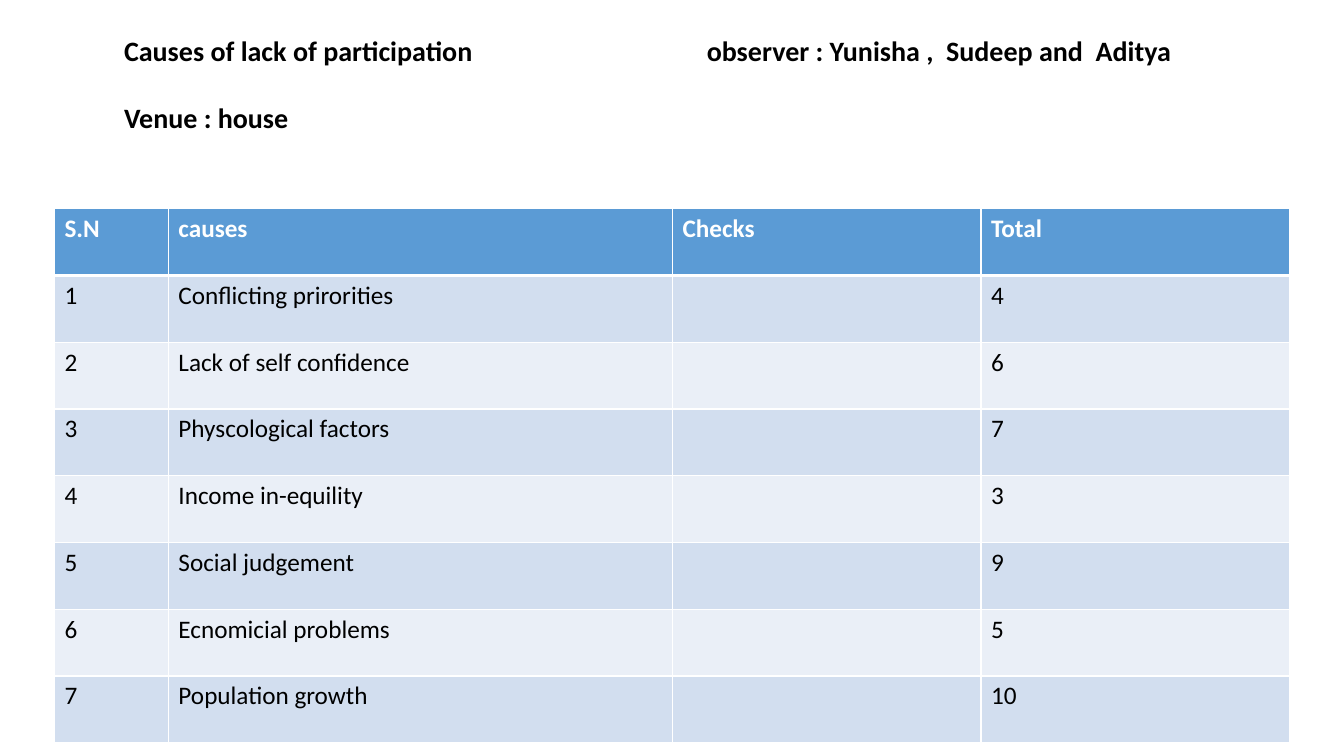
from lxml.etree import SubElement
from pptx import Presentation
from pptx.dml.color import RGBColor
from pptx.enum.text import MSO_ANCHOR, PP_ALIGN
from pptx.oxml.ns import qn
from pptx.util import Inches, Pt

COLORS = {"header": "5B9BD5", "odd": "D2DEEF", "even": "EAEFF7",
          "light": "FFFFFF", "text": "000000"}
FONT = "Calibri"
COLUMN_WIDTHS = [1.13, 5, 3.06, 3.06]
HEADERS = ["S.N", "causes", "Checks", "Total"]
CAUSES = [
    ("Conflicting prirorities", 4),
    ("Lack of self confidence", 6),
    ("Physcological factors", 7),
    ("Income in-equility", 3),
    ("Social judgement", 9),
    ("Ecnomicial problems", 5),
    ("Population growth", 10),
]


def style_paragraph(p, size, color, bold):
    p.font.name = FONT
    p.font.size = Pt(size)
    p.font.bold = bold
    p.font.color.rgb = RGBColor.from_string(COLORS[color])


def add_tab_stop(p, position):
    tabs = SubElement(p._p.get_or_add_pPr(), qn("a:tabLst"))
    SubElement(tabs, qn("a:tab"), pos=str(position), algn="l")


def set_borders(cell, top, bottom):
    """Draw white cell borders; top and bottom are widths in points."""
    tc_pr = cell._tc.get_or_add_tcPr()
    for side, width in (("L", 1), ("R", 1), ("T", top), ("B", bottom)):
        ln = SubElement(tc_pr, qn(f"a:ln{side}"), w=str(Pt(width)))
        fill = SubElement(ln, qn("a:solidFill"))
        SubElement(fill, qn("a:srgbClr"), val=COLORS["light"])


def place_heading(s, left, top, width, height):
    title = s.shapes.title
    title.left, title.top = Inches(left), Inches(top)
    title.width, title.height = Inches(width), Inches(height)
    tf = title.text_frame
    tf.word_wrap = True
    tf.vertical_anchor = MSO_ANCHOR.TOP
    subject = tf.paragraphs[0]
    subject.add_run().text = "Causes of lack of participation\tobserver : Yunisha ,  Sudeep and  Aditya"
    add_tab_stop(subject, Inches(5.78))
    venue = tf.add_paragraph()
    venue.add_run().text = "Venue : house"
    venue.space_before = Pt(24)
    for p in (subject, venue):
        p.alignment = PP_ALIGN.LEFT
        style_paragraph(p, 20, "text", True)


def add_causes_table(s, left, top, width, height):
    rows = [HEADERS] + [(number, cause, "", total)
                        for number, (cause, total) in enumerate(CAUSES, 1)]
    table = s.shapes.add_table(len(rows), len(HEADERS), Inches(left), Inches(top),
                               Inches(width), Inches(height)).table
    for column, column_width in zip(table.columns, COLUMN_WIDTHS):
        column.width = Inches(column_width)
    for i, row in enumerate(rows):
        is_header = i == 0
        fill = "header" if is_header else "odd" if i % 2 else "even"
        for j, value in enumerate(row):
            cell = table.cell(i, j)
            set_borders(cell, top=3 if i == 1 else 1, bottom=3 if is_header else 1)
            cell.fill.solid()
            cell.fill.fore_color.rgb = RGBColor.from_string(COLORS[fill])
            cell.text = str(value)
            style_paragraph(cell.text_frame.paragraphs[0], 18,
                            "light" if is_header else "text", is_header)


def main():
    prs = Presentation()
    prs.slide_width, prs.slide_height = Inches(13.33), Inches(7.5)
    s = prs.slides.add_slide(prs.slide_layouts[5])
    place_heading(s, 1.13, 0.28, 10.67, 1.11)
    add_causes_table(s, 0.54, 2.07, sum(COLUMN_WIDTHS), 5.3)
    prs.save("out.pptx")


if __name__ == "__main__":
    main()
